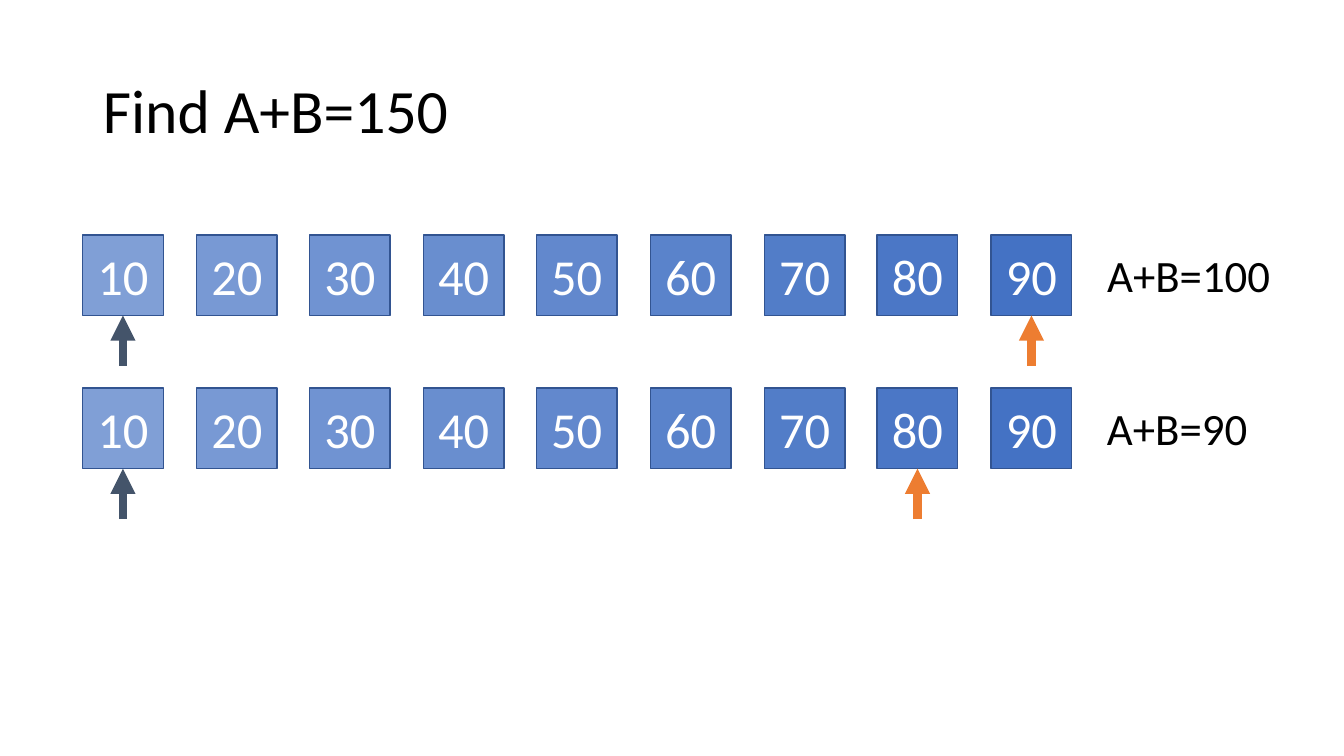
from dataclasses import dataclass

from lxml import etree
from pptx import Presentation
from pptx.dml.color import RGBColor
from pptx.enum.shapes import MSO_CONNECTOR, MSO_SHAPE
from pptx.enum.text import MSO_ANCHOR, MSO_AUTO_SIZE, PP_ALIGN
from pptx.oxml.ns import qn
from pptx.util import Pt

RECTANGLE = MSO_SHAPE.RECTANGLE
STRAIGHT = MSO_CONNECTOR.STRAIGHT
MIDDLE, TOP = MSO_ANCHOR.MIDDLE, MSO_ANCHOR.TOP
LEFT, CENTER = PP_ALIGN.LEFT, PP_ALIGN.CENTER
NO_FIT, GROW = MSO_AUTO_SIZE.NONE, MSO_AUTO_SIZE.SHAPE_TO_FIT_TEXT
BOTTOM_SITE = 2

EMU_PER_PX = 9144  # 100 px to the inch
SLIDE_WIDTH, SLIDE_HEIGHT = 1333, 750
TITLE_ONLY = 5

VALUES = range(10, 100, 10)
CELL_SIZE = 80
FIRST_CELL, LAST_CELL = 82, 983
ARROW_LENGTH = 50
SUM_LEFT, SUM_HEIGHT = 1087, 64

# top of the row, values of A and B, width of the sum
STEPS = [(233, 10, 90, 184), (385, 10, 80, 161)]


@dataclass(frozen=True)
class Theme:
    font: str = "Calibri"
    title_size: int = 44
    cell_size: int = 36
    sum_size: int = 32
    text: str = "000000"
    cell_text: str = "FFFFFF"
    cell_fill: str = "4472C4"
    cell_line: str = "325491"
    pointer_a: str = "44546A"
    pointer_b: str = "ED7D31"
    cell_line_width: int = 1
    pointer_width: int = 6


def px(*lengths):
    return [length * EMU_PER_PX for length in lengths]


class SlideBuilder:
    def __init__(self, slide, theme):
        self.slide = slide
        self.theme = theme

    def add_text(self, shape, text, size, color, align, anchor):
        frame = shape.text_frame
        frame.vertical_anchor = anchor
        paragraph = frame.paragraphs[0]
        paragraph.alignment = align
        run = paragraph.add_run()
        run.text = text
        run.font.name = self.theme.font
        run.font.size = Pt(size)
        run.font.color.rgb = RGBColor.from_string(color)
        return paragraph

    def title(self, text, left, top, width, height):
        title = self.slide.shapes.title
        title.left, title.top, title.width, title.height = px(left, top, width, height)
        title.text_frame.auto_size = NO_FIT
        paragraph = self.add_text(title, text, self.theme.title_size,
                                  self.theme.text, LEFT, MIDDLE)
        paragraph.line_spacing = 0.9

    def cell(self, value, left, top, opacity):
        """Draw one array element; opacity is a percentage."""
        theme = self.theme
        cell = self.slide.shapes.add_shape(
            RECTANGLE, *px(left, top, CELL_SIZE, CELL_SIZE))
        cell.shadow.inherit = False
        cell.fill.solid()
        cell.fill.fore_color.rgb = RGBColor.from_string(theme.cell_fill)
        if opacity < 100:
            color = cell._element.spPr.find(f"{qn('a:solidFill')}/{qn('a:srgbClr')}")
            etree.SubElement(color, qn("a:alpha"), val=str(opacity * 1000))
        cell.line.color.rgb = RGBColor.from_string(theme.cell_line)
        cell.line.width = Pt(theme.cell_line_width)
        self.add_text(cell, str(value), theme.cell_size, theme.cell_text, CENTER, MIDDLE)
        return cell

    def row(self, top):
        """Draw the array and return its cells by value."""
        last = len(VALUES) - 1
        pitch = (LAST_CELL - FIRST_CELL) / last
        return {
            value: self.cell(value, FIRST_CELL + round(index * pitch), top,
                             100 - 4 * (last - index))
            for index, value in enumerate(VALUES)
        }

    def sum_label(self, text, left, top, width):
        label = self.slide.shapes.add_textbox(*px(left, top, width, SUM_HEIGHT))
        label.text_frame.word_wrap = False
        label.text_frame.auto_size = GROW
        self.add_text(label, text, self.theme.sum_size, self.theme.text, CENTER, TOP)

    def pointer(self, cell, color):
        """Draw an arrow up to the bottom of the cell."""
        x, tip = cell.left + cell.width // 2, cell.top + cell.height
        arrow = self.slide.shapes.add_connector(
            STRAIGHT, x, tip + ARROW_LENGTH * EMU_PER_PX, x, tip)
        arrow.end_connect(cell, BOTTOM_SITE)
        arrow.line.color.rgb = RGBColor.from_string(color)
        arrow.line.width = Pt(self.theme.pointer_width)
        properties = arrow._element.spPr
        etree.SubElement(properties.find(qn("a:ln")), qn("a:tailEnd"), type="triangle")
        etree.SubElement(properties, qn("a:effectLst"))


def main():
    presentation = Presentation()
    presentation.slide_width, presentation.slide_height = px(SLIDE_WIDTH, SLIDE_HEIGHT)
    slide = presentation.slides.add_slide(presentation.slide_layouts[TITLE_ONLY])
    theme = Theme()
    builder = SlideBuilder(slide, theme)

    builder.title("Find A+B=150", 92, 40, 1150, 145)
    for top, a, b, sum_width in STEPS:
        cells = builder.row(top)
        sum_top = top + (CELL_SIZE - SUM_HEIGHT) // 2
        builder.sum_label(f"A+B={a + b}", SUM_LEFT, sum_top, sum_width)
        builder.pointer(cells[a], theme.pointer_a)
        builder.pointer(cells[b], theme.pointer_b)

    presentation.save("out.pptx")


if __name__ == "__main__":
    main()
